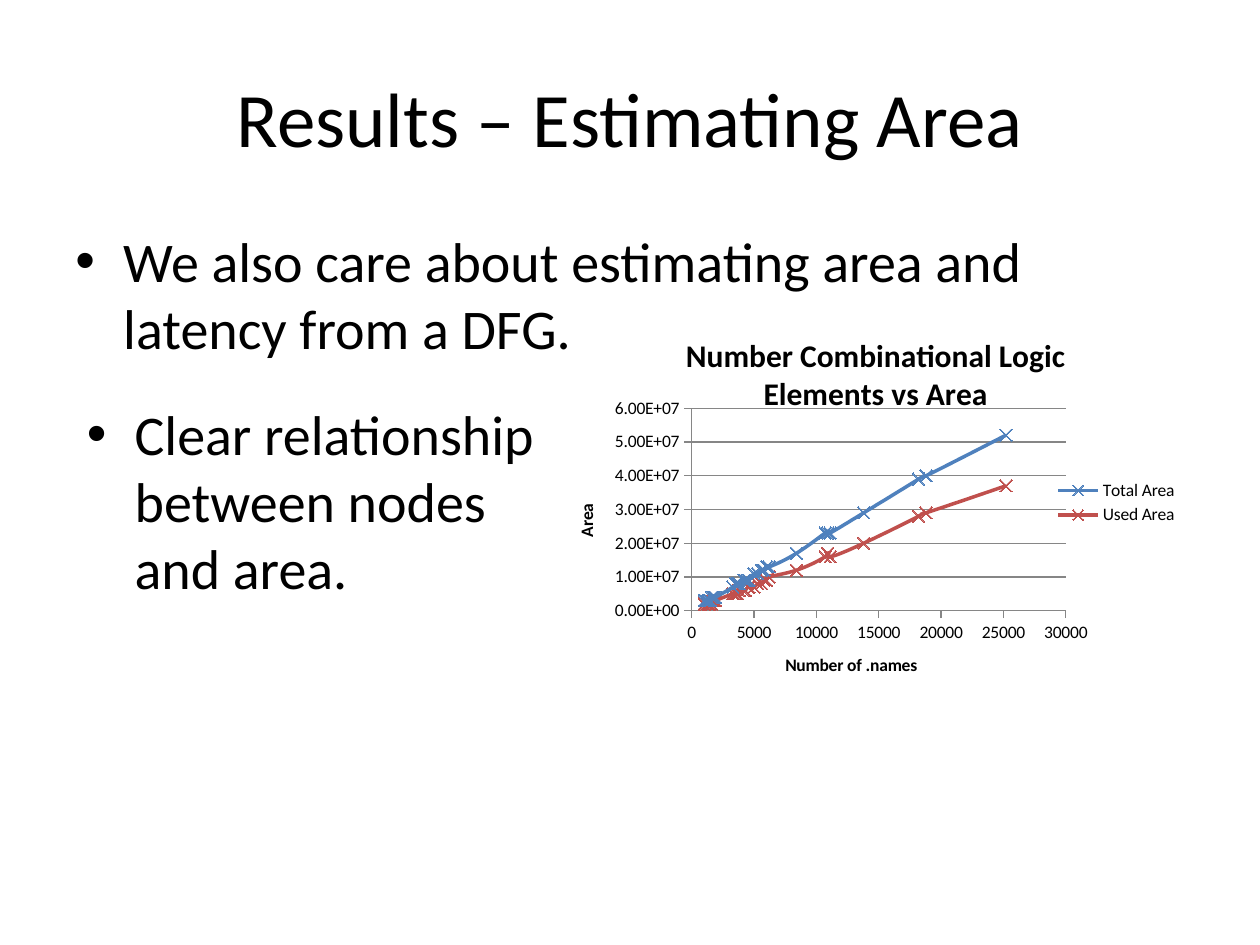
import pptx
import pptx.util
import pptx.chart.data
import pptx.dml.color
import pptx.enum.chart
import pptx.enum.text
import pptx.oxml
import pptx.oxml.ns

Inches, Pt = pptx.util.Inches, pptx.util.Pt
RGBColor = pptx.dml.color.RGBColor
qn = pptx.oxml.ns.qn

FONT = "Calibri"
BLACK = RGBColor(0x00, 0x00, 0x00)
GRAY = RGBColor(0x86, 0x86, 0x86)
BLUE = RGBColor(0x4F, 0x81, 0xBD)
RED = RGBColor(0xC0, 0x50, 0x4D)

# Number of .names in thousands, areas in millions
NAMES = [1, 1.1, 1.3, 1.4, 1.4, 1.5, 1.5, 1.6, 1.7, 1.8, 1.9, 1.9, 3.3, 3.3,
         3.5, 3.6, 3.7, 3.8, 4.2, 4.3, 4.5, 4.6, 4.6, 4.6, 5, 5.3, 5.3, 5.6,
         5.8, 6, 6.2, 8.4, 10.7, 10.9, 11.1, 13.8, 13.8, 18.2, 18.8, 25.2]
TOTAL_AREA = [3, 3, 3, 3, 3, 3, 3, 4, 4, 4, 4, 4, 7, 7, 8, 8, 8, 8, 9, 9,
              9, 9, 9, 9, 11, 11, 11, 12, 12, 13, 13, 17, 23, 23, 23, 29,
              29, 39, 40, 52]
USED_AREA = [2, 2, 2, 2, 2, 2, 2, 2, 3, 3, 3, 3, 5, 5, 5, 5, 5, 6, 6, 6,
             7, 7, 7, 7, 7, 8, 8, 8, 9, 9, 10, 12, 16, 17, 16, 20, 20, 28,
             29, 37]
SERIES = [("Total Area", TOTAL_AREA, BLUE), ("Used Area", USED_AREA, RED)]


def style_font(font, size, bold=False):
    font.name, font.size, font.bold = FONT, Pt(size), bold
    font.color.rgb = BLACK


def add_text(slide, box, text, size):
    sp = slide.shapes.add_textbox(*[Inches(v) for v in box])
    tf = sp.text_frame
    tf.word_wrap = True
    p = tf.paragraphs[0]
    r = p.add_run()
    r.text = text
    style_font(r.font, size)
    return tf


def add_title(slide, box, text):
    tf = add_text(slide, box, text, 44)
    tf.vertical_anchor = pptx.enum.text.MSO_ANCHOR.MIDDLE
    tf.paragraphs[0].alignment = pptx.enum.text.PP_ALIGN.CENTER


def add_bullet(slide, box, text):
    p = add_text(slide, box, text, 32).paragraphs[0]
    p.space_before = Pt(6.4)
    pPr = p._p.get_or_add_pPr()
    pPr.set("marL", str(Inches(0.38)))
    pPr.set("indent", str(-Inches(0.38)))
    for tag, key, value in (("a:buFont", "typeface", "Arial"),
                            ("a:buChar", "char", "•")):
        bullet = pptx.oxml.parse_xml(
            f'<{tag} {pptx.oxml.ns.nsdecls("a")} {key}="{value}"/>')
        pPr.append(bullet)


def set_title(owner, text, size):
    tf = owner.text_frame
    r = tf.paragraphs[0].add_run()
    r.text = text
    style_font(r.font, size, bold=True)


def style_axis(axis, title, maximum, unit, number_format):
    set_title(axis.axis_title, title, 10)
    axis.minimum_scale, axis.maximum_scale = 0, maximum
    axis.major_unit = unit
    axis.major_tick_mark = pptx.enum.chart.XL_TICK_MARK.OUTSIDE
    axis.minor_tick_mark = pptx.enum.chart.XL_TICK_MARK.NONE
    axis.tick_labels.number_format = number_format
    axis.tick_labels.number_format_is_linked = False
    axis.format.line.color.rgb = GRAY
    axis.format.line.width = Pt(0.75)


def style_series(series, color):
    series.format.line.color.rgb = color
    series.format.line.width = Pt(2)
    marker = series.marker
    marker.style = pptx.enum.chart.XL_MARKER_STYLE.X
    marker.size = 7
    marker.format.fill.background()
    marker.format.line.color.rgb = color
    for smooth in series._element.findall(qn("c:smooth")):
        smooth.set("val", "1")


def place_plot(chart, x, y, w, h):
    area = chart._chartSpace.chart.plotArea
    for old in area.findall(qn("c:layout")):
        area.remove(old)
    settings = (("layoutTarget", "inner"), ("xMode", "edge"),
                ("yMode", "edge"), ("x", x), ("y", y), ("w", w), ("h", h))
    inner = "".join(f'<c:{tag} val="{val}"/>' for tag, val in settings)
    area.insert(0, pptx.oxml.parse_xml(
        f'<c:layout {pptx.oxml.ns.nsdecls("c")}>'
        f'<c:manualLayout>{inner}</c:manualLayout></c:layout>'))


def add_area_chart(slide, box):
    data = pptx.chart.data.XyChartData()
    for name, areas, _ in SERIES:
        series = data.add_series(name)
        for x, y in zip(NAMES, areas):
            series.add_data_point(round(x * 1000), y * 1000000)
    chart = slide.shapes.add_chart(
        pptx.enum.chart.XL_CHART_TYPE.XY_SCATTER_SMOOTH,
        *[Inches(v) for v in box], data).chart
    style_font(chart.font, 10)
    chart.has_title = True
    set_title(chart.chart_title, "Number Combinational Logic Elements vs Area", 18)
    chart.has_legend = True
    chart.legend.position = pptx.enum.chart.XL_LEGEND_POSITION.RIGHT
    chart.legend.include_in_layout = False

    # Axes and gridlines
    names_axis, area_axis = chart.category_axis, chart.value_axis
    style_axis(names_axis, "Number of .names", 30000, 5000, "General")
    style_axis(area_axis, "Area", 60000000, 10000000, "0.00E+00")
    names_axis.has_major_gridlines = False
    area_axis.has_major_gridlines = True
    gridline = area_axis.major_gridlines.format.line
    gridline.color.rgb = GRAY
    gridline.width = Pt(0.75)

    # Series
    plot = chart.plots[0]
    plot.vary_by_categories = False
    for series, (_, _, color) in zip(plot.series, SERIES):
        style_series(series, color)
    place_plot(chart, 0.208, 0.25, 0.594, 0.536)


def main():
    prs = pptx.Presentation()
    prs.slide_width, prs.slide_height = Inches(10), Inches(7.5)
    slide = prs.slides.add_slide(prs.slide_layouts[6])
    add_title(slide, (0.5, 0.3, 9, 1.25), "Results – Estimating Area")
    add_bullet(slide, (0.5, 1.75, 9, 1.21),
               "We also care about estimating area and latency from a DFG.")
    add_bullet(slide, (0.59, 3.12, 4.02, 3.7),
               "Clear relationship between nodes and area.")
    add_area_chart(slide, (4.45, 2.49, 5, 3))
    prs.save("out.pptx")


main()
